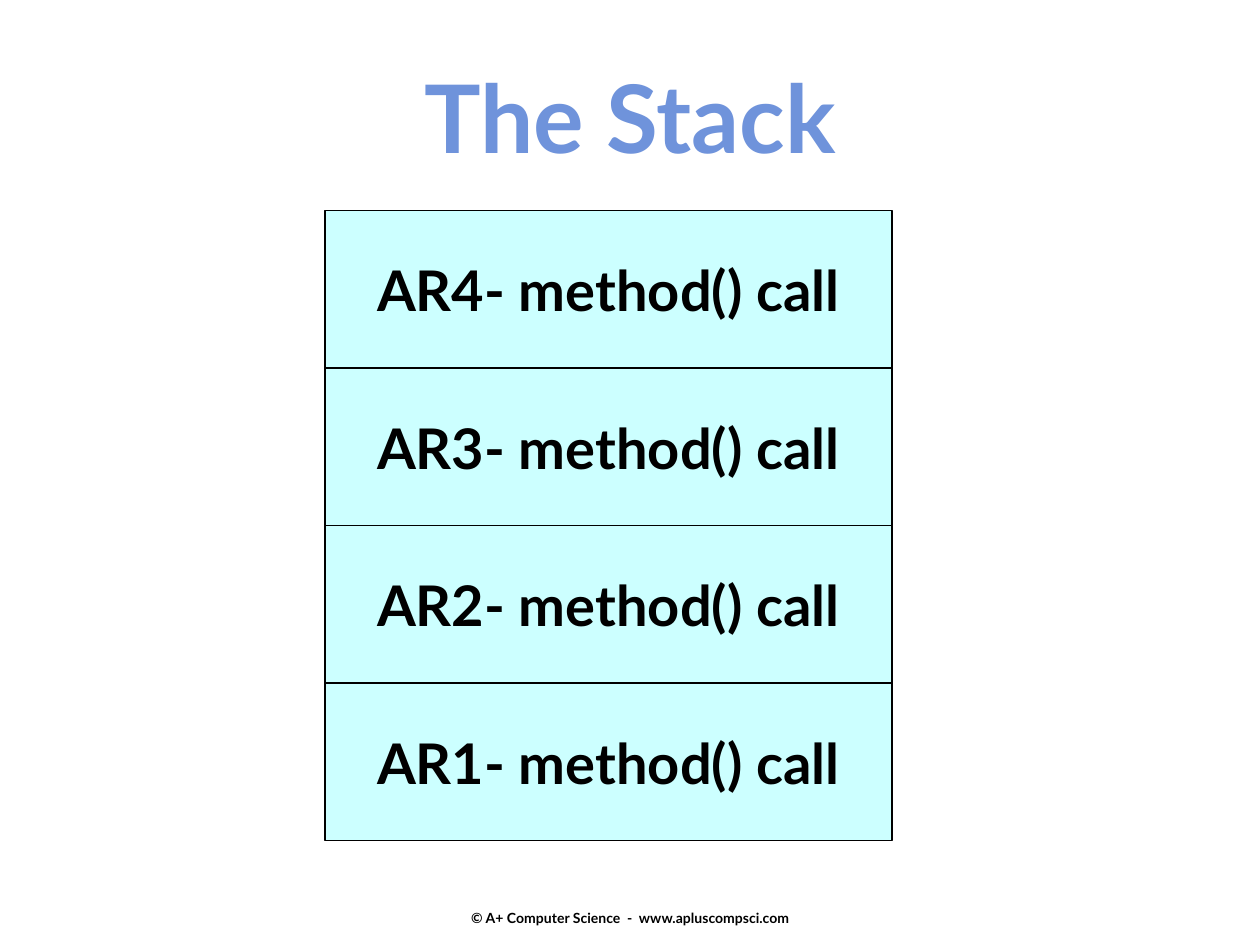
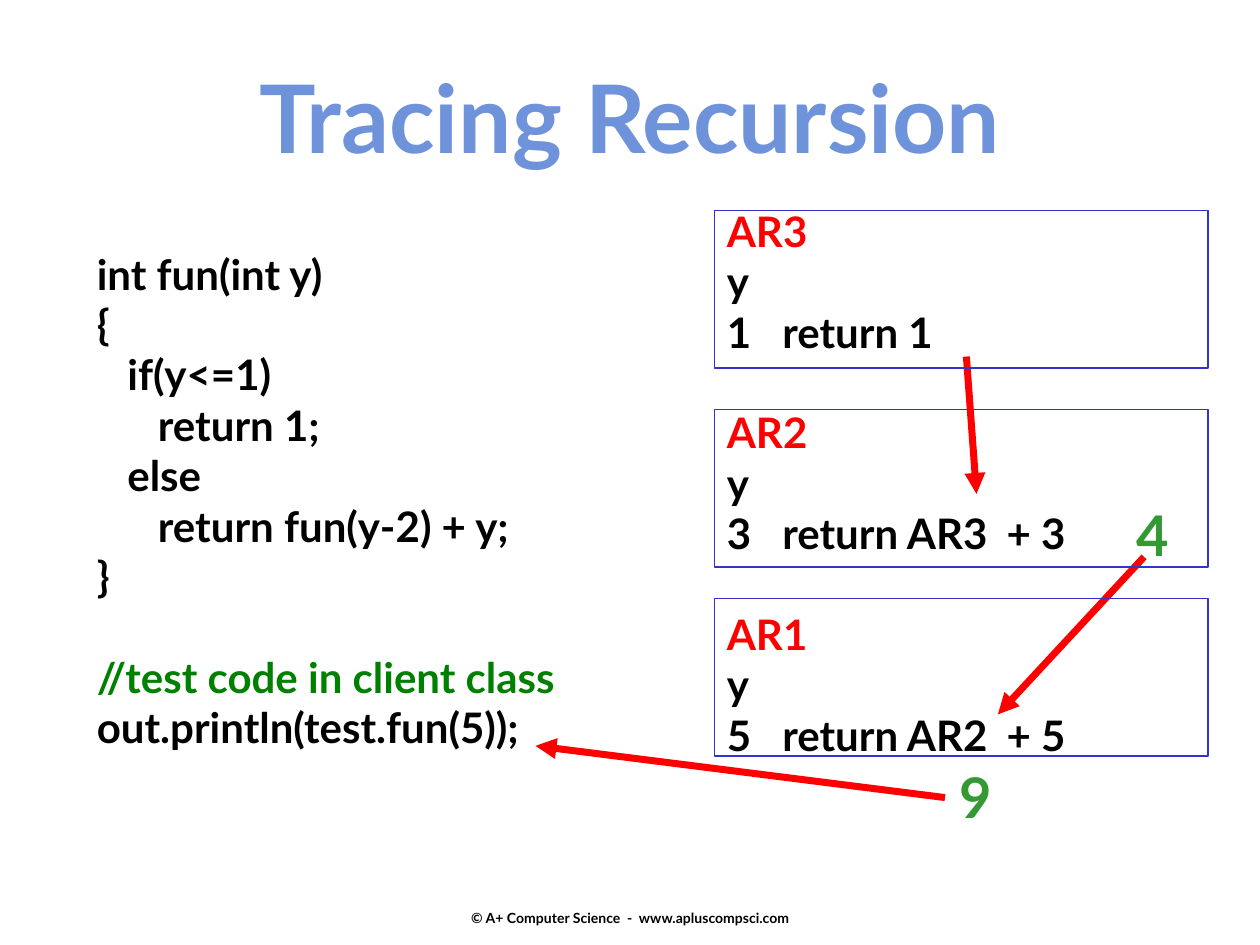
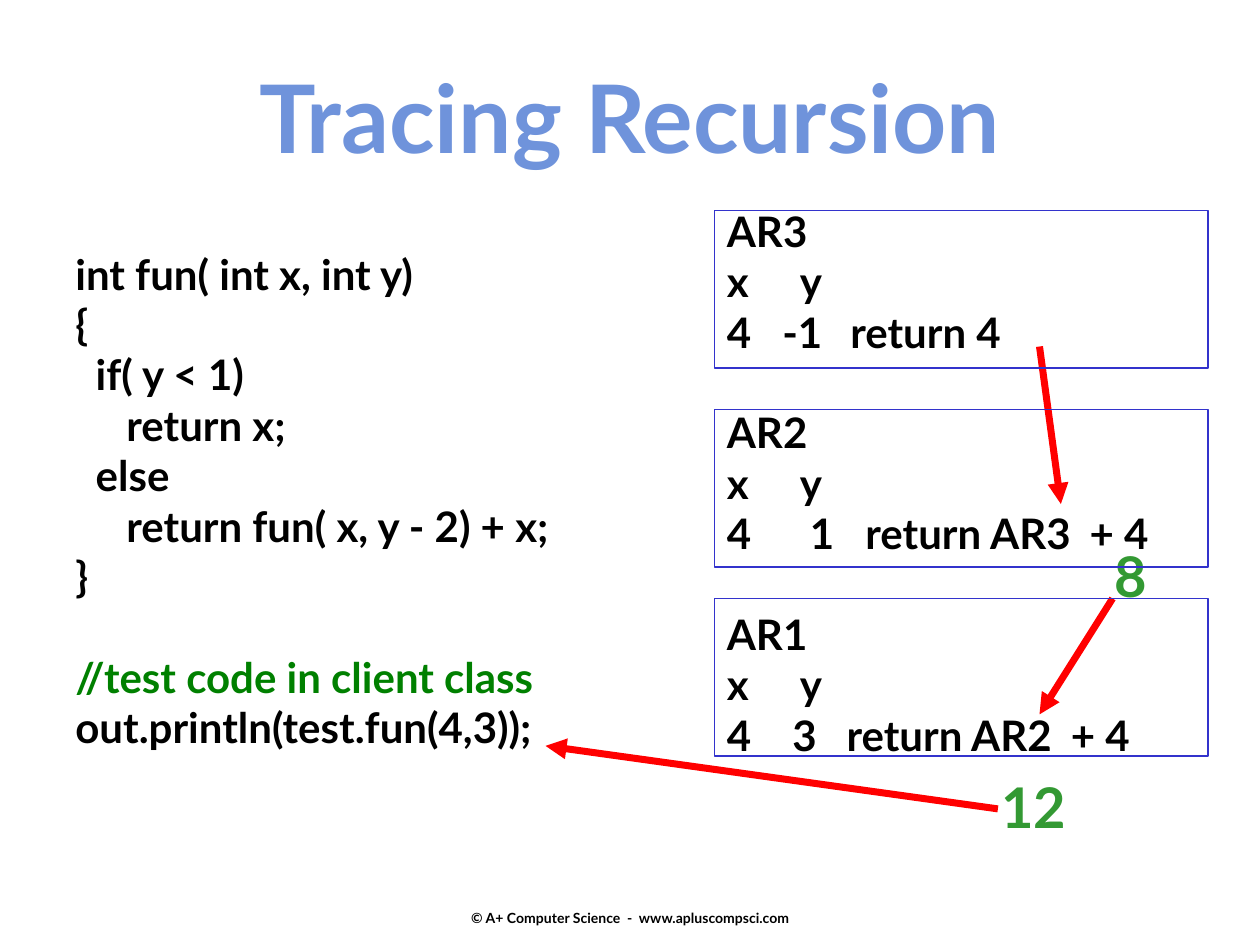
from dataclasses import dataclass

from lxml import etree
from pptx import Presentation
from pptx.dml.color import RGBColor
from pptx.enum.shapes import MSO_CONNECTOR, MSO_SHAPE
from pptx.enum.text import MSO_ANCHOR, PP_ALIGN
from pptx.oxml.ns import qn
from pptx.util import Inches, Pt

RECTANGLE = MSO_SHAPE.RECTANGLE
STRAIGHT = MSO_CONNECTOR.STRAIGHT
LEFT, CENTER = PP_ALIGN.LEFT, PP_ALIGN.CENTER
TOP, MIDDLE, BOTTOM = MSO_ANCHOR.TOP, MSO_ANCHOR.MIDDLE, MSO_ANCHOR.BOTTOM

FONT = "Lato"
BLACK, RED = "000000", "FF0000"
TITLE_BLUE, FRAME_BLUE, STACK_CYAN = "6F93DB", "3333CC", "CCFFFF"
COMMENT_GREEN, RESULT_GREEN = "008000", "339933"
FOOTER = "© A+ Computer Science  -  www.apluscompsci.com"
CODE_SIZE = 24
BLANK_LINE = 28.8  # points, one line of code
RECORD_LEFT = 5.67
FRAME_TOPS = (1.67, 3.25, 4.75)


@dataclass
class Line:
    text: str
    color: str = BLACK
    space_before: float = 0
    tabs: tuple[float, ...] = ()


@dataclass
class Record:
    """One activation record: its name, variables and return line."""
    name: str
    variables: Line
    result: Line


@dataclass
class Result:
    text: str
    left: float
    top: float
    width: float


@dataclass
class Arrow:
    start: tuple[float, float]
    end: tuple[float, float]


@dataclass
class Trace:
    code_left: float
    code_width: float
    code: list[Line]
    name_color: str
    record_width: float
    records: list[Record]
    results: list[Result]
    arrows: list[Arrow]


def rgb(color: str) -> RGBColor:
    return RGBColor.from_string(color)


def write_lines(frame, lines: list[Line], size: float, align=LEFT, anchor=TOP) -> None:
    frame.word_wrap = True
    frame.vertical_anchor = anchor
    frame.text = "\n".join(line.text for line in lines)
    for para, line in zip(frame.paragraphs, lines):
        para.alignment = align
        if line.space_before:
            para.space_before = Pt(line.space_before)
        if line.tabs:
            stops = etree.SubElement(para._p.get_or_add_pPr(), qn("a:tabLst"))
            for position in line.tabs:
                etree.SubElement(stops, qn("a:tab"), pos=str(Inches(position)), algn="l")
        for span in para.runs:
            span.font.name = FONT
            span.font.size = Pt(size)
            span.font.bold = True
            span.font.color.rgb = rgb(line.color)


def add_text(page, left: float, top: float, width: float, height: float,
             lines: list[Line], size: float, align=LEFT, anchor=TOP):
    box = page.shapes.add_textbox(Inches(left), Inches(top), Inches(width), Inches(height))
    write_lines(box.text_frame, lines, size, align, anchor)
    return box


def add_box(page, left: float, top: float, width: float, line_color: str, fill: str = ""):
    box = page.shapes.add_shape(RECTANGLE, Inches(left), Inches(top), Inches(width), Inches(1.25))
    box.shadow.inherit = False
    if fill:
        box.fill.solid()
        box.fill.fore_color.rgb = rgb(fill)
    else:
        box.fill.background()
    box.line.color.rgb = rgb(line_color)
    box.line.width = Pt(1)
    return box


def add_arrow(page, arrow: Arrow) -> None:
    ends = [Inches(value) for value in (*arrow.start, *arrow.end)]
    connector = page.shapes.add_connector(STRAIGHT, *ends)
    connector.line.color.rgb = rgb(RED)
    connector.line.width = Pt(4)
    etree.SubElement(connector.line._get_or_add_ln(), qn("a:tailEnd"), type="triangle")
    etree.SubElement(connector._element.spPr, qn("a:effectLst"))


def add_page(deck, title: str):
    """Blank page with the shared footer and title."""
    page = deck.slides.add_slide(deck.slide_layouts[6])
    footer = add_text(page, 3.42, 6.83, 3.17, 0.52, [Line(FOOTER)], 8, CENTER, BOTTOM)
    footer.text_frame.margin_bottom = 0
    add_text(page, 0, 0.42, 10, 1.01, [Line(title, TITLE_BLUE)], 54, CENTER)
    return page


def add_stack_page(deck) -> None:
    page = add_page(deck, "The Stack")
    for level in range(1, 5):
        box = add_box(page, 2.58, 6.67 - 1.25 * level, 4.5, BLACK, STACK_CYAN)
        write_lines(box.text_frame, [Line(f"AR{level}- method() call")], 32, CENTER, MIDDLE)


def add_trace_page(deck, trace: Trace) -> None:
    page = add_page(deck, "Tracing Recursion")
    add_text(page, trace.code_left, 1.92, trace.code_width, 4.09, trace.code, CODE_SIZE)

    # Activation records
    lines = []
    for record in trace.records:
        gap = BLANK_LINE if lines else 0
        lines += [Line(record.name, trace.name_color, gap), record.variables, record.result]
    add_text(page, RECORD_LEFT, 1.58, trace.record_width, 5.03, lines, CODE_SIZE)

    # Returned values and where they go
    for arrow in trace.arrows:
        add_arrow(page, arrow)
    for result in trace.results:
        add_text(page, result.left, result.top, result.width, 0.63,
                 [Line(result.text, RESULT_GREEN)], 32)
    for top in FRAME_TOPS:
        add_box(page, RECORD_LEFT, top, 3.92, FRAME_BLUE)


def code_lines(function: str, call: str) -> list[Line]:
    return [
        *(Line(text) for text in function.split("\n")),
        Line("//test code in client class", COMMENT_GREEN, BLANK_LINE),
        Line(call),
    ]


ONE_PARAMETER = """int fun(int y)
{
   if(y<=1)
      return 1;
   else
      return fun(y-2) + y;
}"""

TWO_PARAMETERS = """int fun( int x, int y)
{
  if( y < 1)
     return x;
  else
     return fun( x, y - 2) + x;
}"""

Y_ONLY = Line("y")
X_AND_Y = Line("x\ty", tabs=(0.58,))
Y_TABS = (0.44, 2.22)

TRACES = [
    Trace(
        0.67, 4.47, code_lines(ONE_PARAMETER, "out.println(test.fun(5));"),
        RED, 3.31,
        [
            Record("AR3", Y_ONLY, Line("1\treturn 1", tabs=Y_TABS)),
            Record("AR2", Y_ONLY, Line("3\treturn AR3\t+ 3", tabs=Y_TABS)),
            Record("AR1", Y_ONLY, Line("5\treturn AR2\t+ 5", tabs=Y_TABS)),
        ],
        [Result("4", 8.92, 3.92, 0.48), Result("9", 7.52, 6, 0.51)],
        [
            Arrow((9.08, 4.42), (7.92, 5.67)),
            Arrow((7.67, 2.83), (7.75, 3.92)),
            Arrow((7.5, 6.33), (4.25, 5.92)),
        ],
    ),
    Trace(
        0.5, 4.73, code_lines(TWO_PARAMETERS, "out.println(test.fun(4,3));"),
        BLACK, 4.01,
        [
            Record("AR3", X_AND_Y, Line("4\t-1\treturn 4", tabs=(0.44, 0.98))),
            Record("AR2", X_AND_Y, Line("4\t1\treturn AR3\t+ 4", tabs=(0.66, 1.1, 2.88))),
            Record("AR1", X_AND_Y, Line("4\t3\treturn AR2\t+ 4", tabs=(0.52, 0.95, 2.73))),
        ],
        [Result("8", 8.75, 4.25, 0.48), Result("12", 7.85, 6.08, 0.8)],
        [
            Arrow((8.83, 4.75), (8.25, 5.67)),
            Arrow((8.25, 2.75), (8.42, 4)),
            Arrow((7.92, 6.42), (4.33, 5.92)),
        ],
    ),
]


def main() -> None:
    deck = Presentation()
    deck.slide_width, deck.slide_height = Inches(10), Inches(7.5)
    add_stack_page(deck)
    for trace in TRACES:
        add_trace_page(deck, trace)
    deck.save("out.pptx")


if __name__ == "__main__":
    main()
